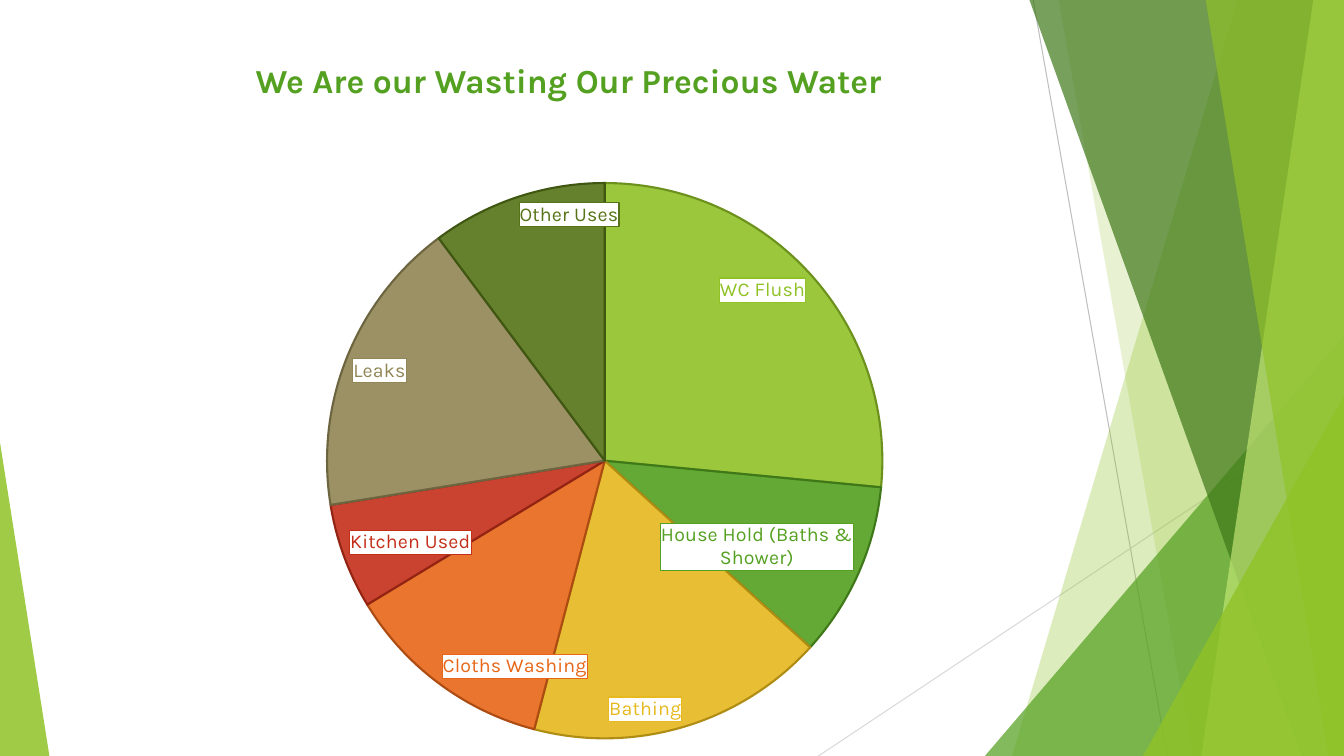
from lxml import etree
from pptx import Presentation
from pptx.chart.data import CategoryChartData
from pptx.dml.color import RGBColor
from pptx.enum.chart import XL_CHART_TYPE, XL_LABEL_POSITION
from pptx.enum.shapes import MSO_CONNECTOR, MSO_SHAPE
from pptx.enum.text import MSO_ANCHOR, PP_ALIGN
from pptx.oxml import parse_xml
from pptx.oxml.ns import nsdecls, qn
from pptx.util import Pt

PIE = XL_CHART_TYPE.PIE
INSIDE = XL_LABEL_POSITION.INSIDE_END
STRAIGHT = MSO_CONNECTOR.STRAIGHT
TRIANGLE = MSO_SHAPE.ISOSCELES_TRIANGLE
MIDDLE = MSO_ANCHOR.MIDDLE
CENTER = PP_ALIGN.CENTER
WIDE, HIGH = 960, 540


def color(text):
    return RGBColor.from_string(text)


def paint(fill, tint, alpha):
    """Fill with a solid colour at an opacity given in percent."""
    fill.solid()
    fill.fore_color.rgb = color(tint)
    for node in fill._xPr.iter(qn("a:srgbClr")):
        etree.SubElement(node, qn("a:alpha")).set("val", str(alpha * 1000))


deck = Presentation()
deck.slide_width, deck.slide_height = Pt(WIDE), Pt(HIGH)
slide = deck.slides.add_slide(deck.slide_layouts[5])
shapes = slide.shapes

# Thin lines behind the facets
for x1, y1, x2, y2, tint in [
    (738, 0, 833.76, HIGH, "BFBFBF"),
    (WIDE, 290.2, 584.6, HIGH, "D9D9D9"),
]:
    line = shapes.add_connector(STRAIGHT, Pt(x1), Pt(y1), Pt(x2), Pt(y2))
    line.line.color.rgb = color(tint)
    line.line.width = Pt(0.75)
    etree.SubElement(line._element.spPr, qn("a:effectLst"))

# A band runs from its top x to its foot x and fills out to the right edge;
# a wedge stands on the bottom edge: left, width, height, apex.
facets = [
    ("band", (884.2, 722.9), "90C226", 30),
    ("band", (756, 851.8), "90C226", 20),
    ("wedge", (703.5, 256.5, 300.2, 1), "54A021", 72),
    ("band", (735.1, 929.5), "3F7819", 70),
    ("band", (938.2, 858.2), "C0E474", 70),
    ("band", (861.1, 949), "90C226", 65),
    ("wedge", (816.5, 143.5, 257, 1), "90C226", 80),
    ("wedge", (0, 35.3, 223.9, 0), "90C226", 85),
]
for kind, place, tint, alpha in facets:
    if kind == "band":
        top, foot = place
        pen = shapes.build_freeform(Pt(top), Pt(-0.7))
        pen.add_line_segments([
            (Pt(WIDE), Pt(-0.7)), (Pt(WIDE), Pt(HIGH)), (Pt(foot), Pt(HIGH)),
        ])
        facet = pen.convert_to_shape()
    else:
        left, width, height, apex = place
        facet = shapes.add_shape(
            TRIANGLE, Pt(left), Pt(HIGH - height), Pt(width), Pt(height))
        facet.adjustments[0] = apex
    paint(facet.fill, tint, alpha)
    facet.line.fill.background()
    facet.shadow.inherit = False

# Water use: name, share, slice colour, edge colour
uses = [
    ("WC Flush", 26, "90C226", "6C911D"),
    ("House Hold (Baths & Shower)", 10, "54A021", "3F7819"),
    ("Bathing", 17, "E6B91E", "AF8C13"),
    ("Cloths Washing", 12, "E76618", "AD4C12"),
    ("Kitchen Used", 6, "C42F1A", "932313"),
    ("Leaks", 17, "918655", "6D6540"),
    ("Other Uses", 10, "567417", "405711"),
]
data = CategoryChartData()
data.categories = [use[0] for use in uses]
data.add_series("Series 1", [use[1] for use in uses])
chart = shapes.add_chart(
    PIE, Pt(131), Pt(122.4), Pt(602), Pt(417.6), data).chart
chart.has_legend = chart.has_title = False
chart.font.name, chart.font.size = "Karla", Pt(10)
plot = chart.plots[0]
plot.vary_by_categories = True

area = chart._chartSpace.chart.plotArea
for old in area.findall(qn("c:layout")):
    area.remove(old)
frame = parse_xml(f"<c:layout {nsdecls('c')}><c:manualLayout/></c:layout>")
for tag, val in {
    "layoutTarget": "inner", "xMode": "edge", "yMode": "edge",
    "x": 0.17, "y": 0.02, "w": 0.66, "h": 0.95,
}.items():
    etree.SubElement(frame[0], qn("c:" + tag)).set("val", str(val))
area.insert(0, frame)

for spot, (name, share, tint, edge) in enumerate(uses):
    point = plot.series[0].points[spot]
    paint(point.format.fill, tint, 90)
    point.format.line.color.rgb = color(edge)
    point.format.line.width = Pt(1.5)
    label = point.data_label
    look = {"name": "Karla", "size": Pt(14), "bold": False}
    for key, val in look.items():
        setattr(label.font, key, val)
    label.font.color.rgb = color(tint)
    label.position = INSIDE

# Labels show the category in a white box edged in the slice colour
for node, use in zip(area.iter(qn("c:dLbl")), uses):
    for tag in ("c:showVal", "c:showCatName"):
        node.find(qn(tag)).set("val", str(int(tag == "c:showCatName")))
    node.find(qn("c:txPr")).addprevious(parse_xml(
        f'<c:spPr {nsdecls("c", "a")}>'
        '<a:solidFill><a:srgbClr val="FFFFFF"/></a:solidFill>'
        f'<a:ln w="9525"><a:solidFill><a:srgbClr val="{use[2]}"/>'
        "</a:solidFill></a:ln></c:spPr>"))

title = shapes.title
title.left, title.top = Pt(92.9), Pt(15.1)
title.width, title.height = Pt(626.4), Pt(83.5)
title.fill.solid()
title.fill.fore_color.rgb = title.line.color.rgb = color("FFFFFF")
title.line.width = Pt(1.5)
title.text_frame.text = "We Are our Wasting Our Precious Water"
title.text_frame.vertical_anchor = MIDDLE
head = title.text_frame.paragraphs[0]
head.alignment = CENTER
font = head.runs[0].font
for key, val in {"name": "Karla", "size": Pt(24), "bold": True}.items():
    setattr(font, key, val)
font.color.rgb = color("54A021")

deck.save("out.pptx")
